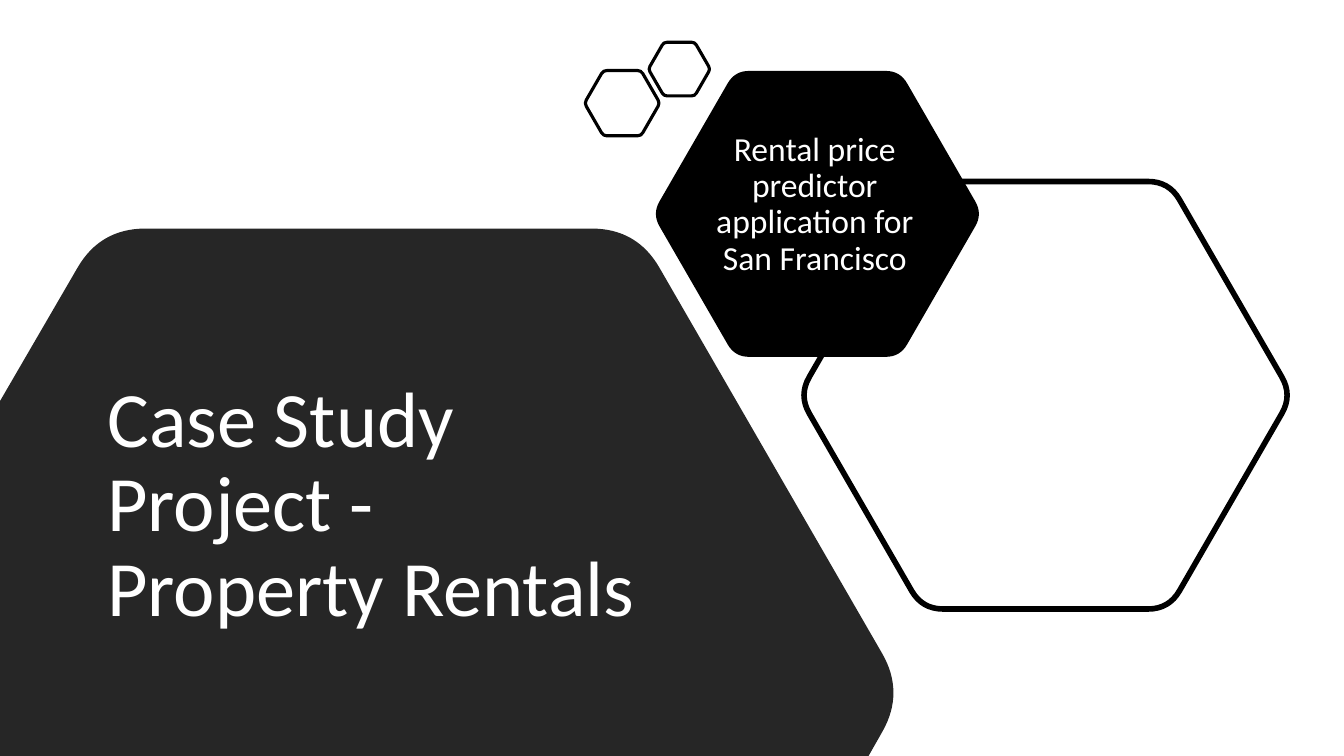
from dataclasses import dataclass
from math import cos, pi, sin

from lxml.etree import SubElement
from pptx import Presentation
from pptx.dml.color import RGBColor
from pptx.enum.text import MSO_ANCHOR, MSO_AUTO_SIZE, PP_ALIGN
from pptx.oxml.ns import qn
from pptx.util import Cm, Pt

Point = tuple[float, float]


@dataclass
class Corner:
    x: float
    y: float
    cut: float = 0


@dataclass
class Hexagon:
    x: float
    y: float
    side: float
    cut: float
    fill: str = ""
    line: float = 0

    def corners(self) -> list[Corner]:
        return [Corner(self.x + self.side * cos(i * pi / 3),
                       self.y + self.side * sin(i * pi / 3), self.cut)
                for i in range(6)]


@dataclass
class Label:
    text: str
    box: tuple[float, float, float, float]
    size: int
    align: PP_ALIGN
    before: int = 0


OUTLINE = Hexagon(26.35, 9.96, 6.22, 0.53, line=4)
BADGE = Hexagon(20.6, 5.39, 4.16, 0.36, fill="000000")
SMALL = [Hexagon(15.68, 2.6, 0.95, 0.09, line=2.25),
         Hexagon(17.12, 1.74, 0.78, 0.08, line=2.25)]
# The large panel is a hexagon cut off by the left and bottom slide edges.
PANEL = [Corner(0, 10.11), Corner(2.53, 5.76, 1.14), Corner(16.05, 5.76, 1.14),
         Corner(22.8, 17.45, 1.14), Corner(21.89, 19.05), Corner(0, 19.05)]
TITLE = Label("Case Study Project - Property Rentals",
              (2.45, 8.23, 14.22, 9.07), 56, PP_ALIGN.LEFT)
SUB = Label("Rental price predictor application for San Francisco",
            (17.45, 2.93, 6.17, 4.47), 24, PP_ALIGN.CENTER, before=10)


def color(code: str) -> RGBColor:
    return RGBColor.from_string(code)


def assign(target, values: dict) -> None:
    for name, value in values.items():
        setattr(target, name, value)


def toward(start: Corner, end: Corner, part: float) -> Point:
    """Return the point a part of the cut away from start, on the edge to end."""
    dx, dy = end.x - start.x, end.y - start.y
    ratio = part * start.cut / (dx * dx + dy * dy) ** 0.5
    return start.x + dx * ratio, start.y + dy * ratio


def bend(path, starts: list[int]) -> None:
    """Turn the three lines after each start into one Bezier curve."""
    nodes = list(path)
    for start in starts:
        curve = SubElement(path, qn("a:cubicBezTo"))
        nodes[start].addnext(curve)
        for node in nodes[start + 1:start + 4]:
            curve.append(node[0])
            path.remove(node)


def outline(shapes, corners: list[Corner]):
    """Add a closed shape that rounds every corner with a cut."""
    points, starts = [], []
    for i, mid in enumerate(corners):
        last, following = corners[i - 1], corners[(i + 1) % len(corners)]
        if mid.cut:
            starts.append(len(points))
            points += [toward(mid, last, 1), toward(mid, last, 1 / 3),
                       toward(mid, following, 1 / 3), toward(mid, following, 1)]
        else:
            points.append((mid.x, mid.y))
    first, *rest = [(Cm(x), Cm(y)) for x, y in points]
    pen = shapes.build_freeform(*first, scale=1.0)
    pen.add_line_segments(rest, close=True)
    shape = pen.convert_to_shape()
    bend(next(shape.element.iter(qn("a:path"))), starts)
    return shape


def draw(shapes, corners: list[Corner], fill: str = "", line: float = 0) -> None:
    shape = outline(shapes, corners)
    shape.shadow.inherit = False
    if fill:
        shape.fill.solid()
        shape.fill.fore_color.rgb = color(fill)
    else:
        shape.fill.background()
    if line:
        shape.line.color.rgb = color("000000")
        shape.line.width = Pt(line)
    else:
        shape.line.fill.background()


def draw_hex(shapes, item: Hexagon) -> None:
    draw(shapes, item.corners(), item.fill, item.line)


def write(shape, label: Label) -> None:
    sides = ("left", "top", "width", "height")
    assign(shape, dict(zip(sides, map(Cm, label.box))))
    frame = shape.text_frame
    frame.text = label.text
    assign(frame, {"word_wrap": True, "auto_size": MSO_AUTO_SIZE.NONE,
                   "vertical_anchor": MSO_ANCHOR.MIDDLE})
    para = frame.paragraphs[0]
    assign(para, {"alignment": label.align, "line_spacing": 0.9,
                  "space_before": Pt(label.before)})
    font = para.runs[0].font
    assign(font, {"name": "Calibri", "size": Pt(label.size)})
    font.color.rgb = color("FFFFFF")


def main() -> None:
    deck = Presentation()
    assign(deck, {"slide_width": Cm(33.87), "slide_height": Cm(19.05)})
    shapes = deck.slides.add_slide(deck.slide_layouts[5]).shapes

    draw_hex(shapes, OUTLINE)
    draw_hex(shapes, BADGE)
    draw(shapes, PANEL, fill="262626")

    title = shapes.title
    title.element.getparent().append(title.element)  # bring to the front
    write(title, TITLE)
    write(shapes.add_textbox(*map(Cm, SUB.box)), SUB)

    group = shapes.add_group_shape()
    for item in SMALL:
        draw_hex(group.shapes, item)

    deck.save("out.pptx")


if __name__ == "__main__":
    main()
